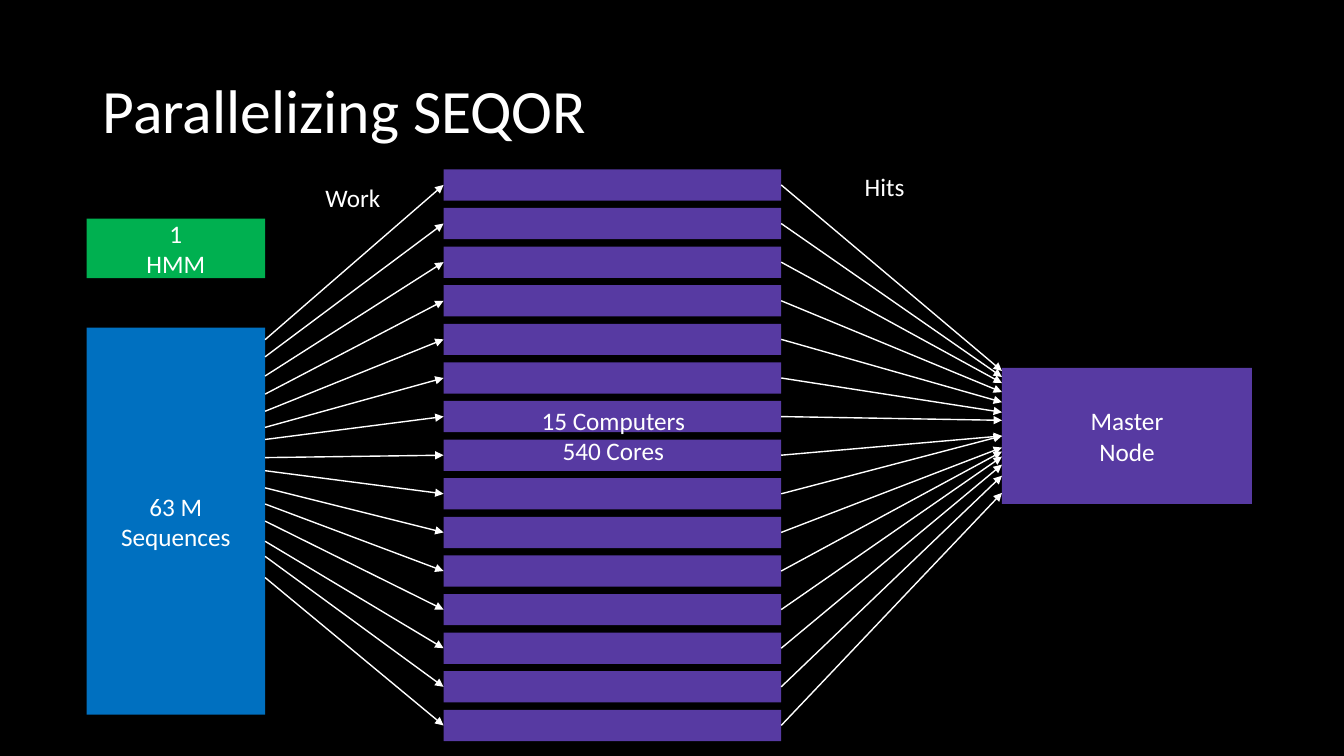
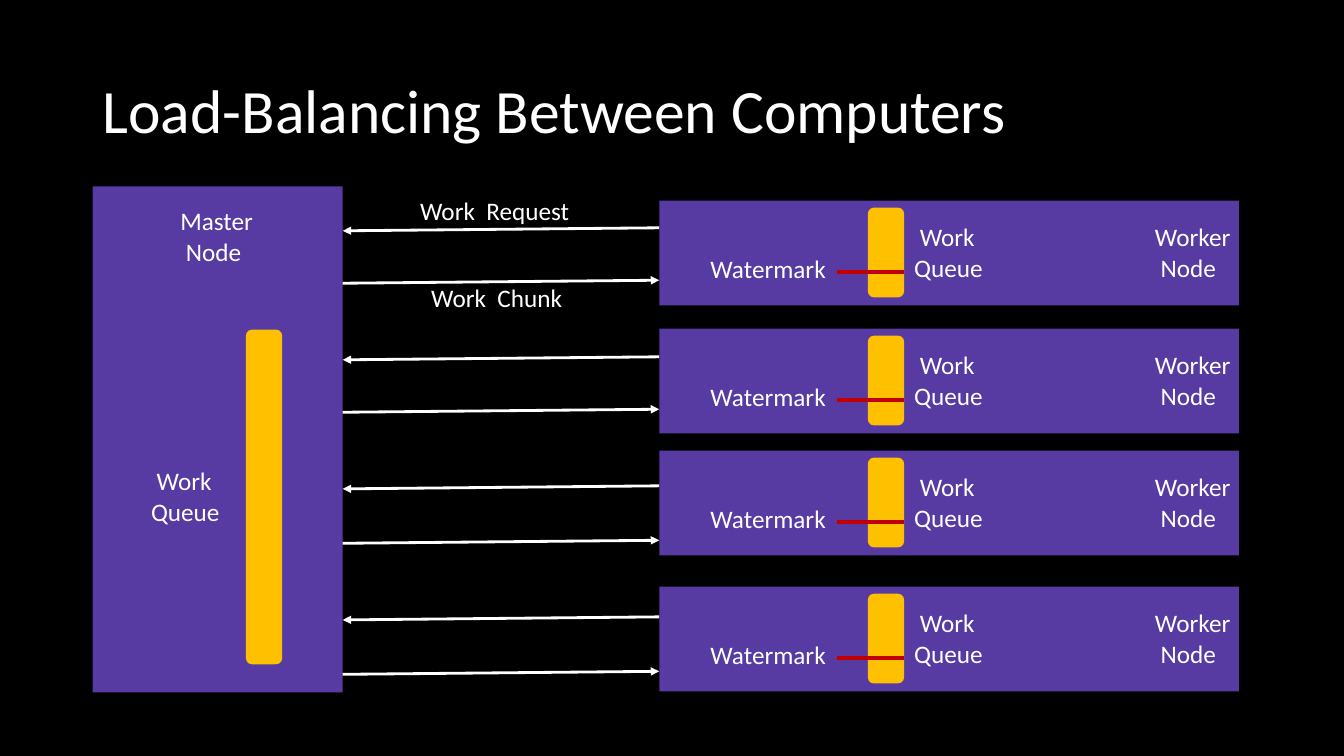
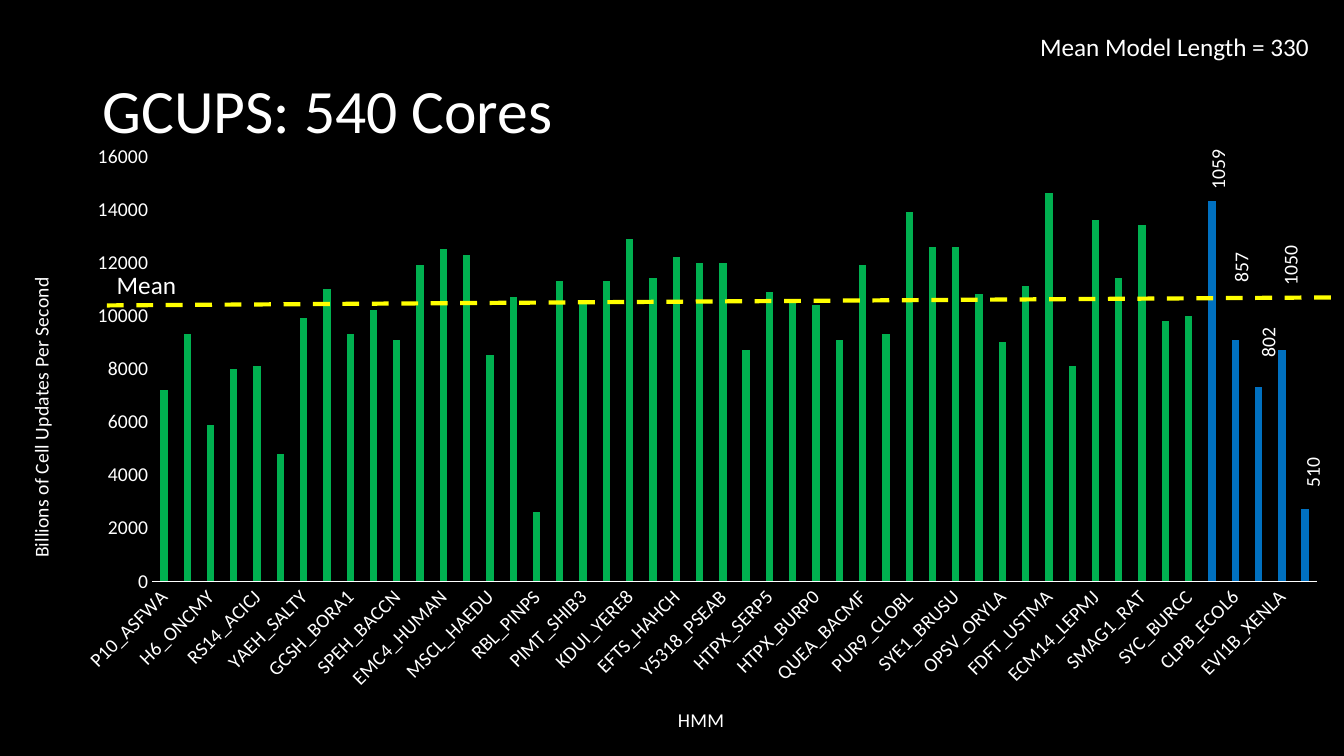
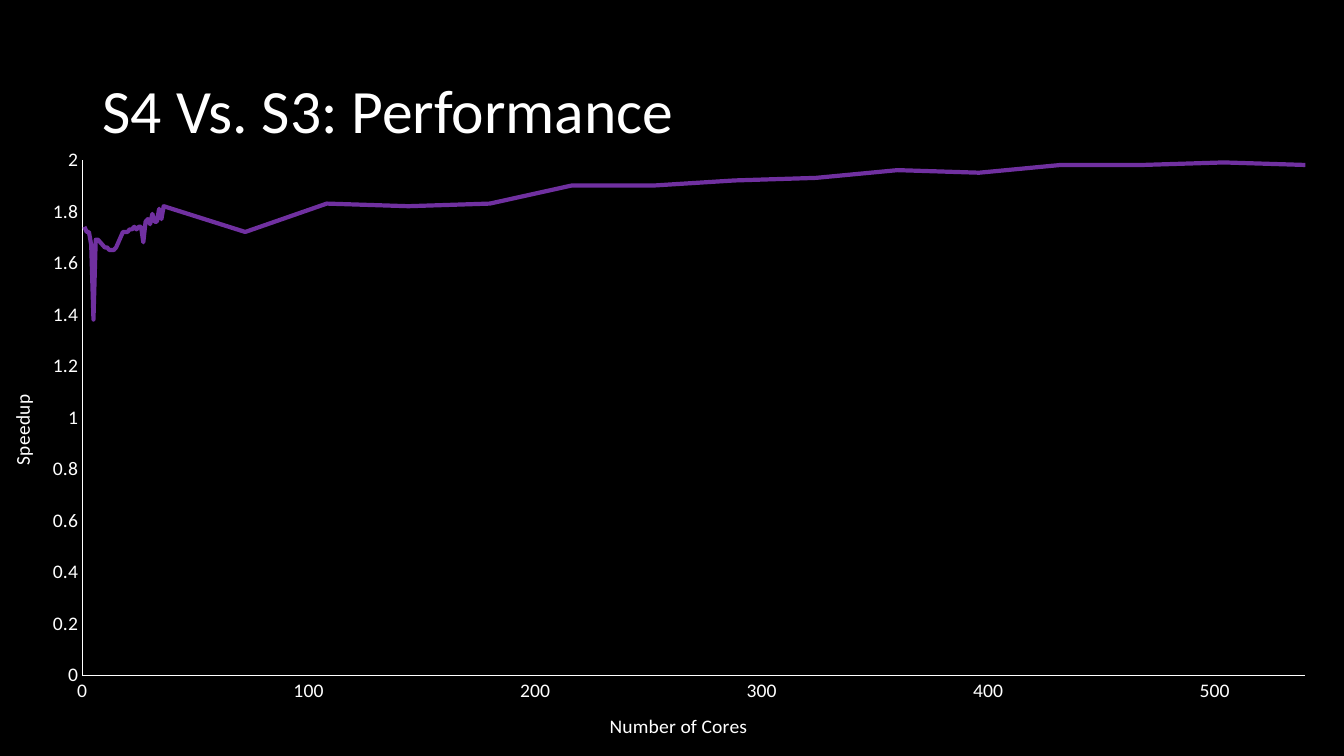
"""Build four slides on running a sequence search in parallel."""
from dataclasses import dataclass
from typing import Any, NamedTuple, Optional

from lxml import etree
from pptx import Presentation
from pptx import util as u
from pptx.chart import data as chart_data
from pptx.dml.color import RGBColor
from pptx.enum import chart as chart_enum
from pptx.enum import dml, shapes, text
from pptx.oxml import ns


@dataclass(frozen=True)
class Theme:
    """Colours, type sizes and the grid step shared by all slides."""
    back: str = "000000"
    ink: str = "FFFFFF"
    node: str = "573AA2"
    blue: str = "0070C0"
    green: str = "00B050"
    queue: str = "FFC000"
    mark: str = "C00000"
    mean: str = "FFFF00"
    curve: str = "7030A0"
    font: str = "Calibri"
    title: int = 44
    body: int = 18
    small: int = 14
    step: float = 0.1


THEME = Theme()


class Area(NamedTuple):
    """A rectangle in grid columns and rows."""
    left: float
    top: float
    width: float
    height: float

    @property
    def right(self) -> float:
        """Return the column of the right side."""
        return self.left + self.width

    @property
    def middle(self) -> float:
        """Return the row halfway down."""
        return self.top + self.height / 2

    def lengths(self) -> list[u.Length]:
        """Return the four lengths for python-pptx."""
        return [grid(value) for value in self]


class Spot(NamedTuple):
    """A point in grid columns and rows."""
    column: float
    row: float


class Port(NamedTuple):
    """A connection site of a shape."""
    shape: Any
    site: int


@dataclass(frozen=True)
class Label:
    """A piece of text that does not wrap."""
    words: str
    area: Area
    size: int = THEME.body
    turn: int = 0
    align: Optional[text.PP_ALIGN] = None


@dataclass(frozen=True)
class Worker:
    """The rows of a worker node and of its two messages."""
    top: float
    request: float
    chunk: float


@dataclass(frozen=True)
class AxisLook:
    """The title, its place in percent, the scale and the outline of a chart axis."""
    title: str
    place: tuple[float, float]
    top: Optional[float] = None
    unit: Optional[float] = None
    turn: int = 0
    lined: bool = True


TITLE_AREA = Area(9.2, 4, 115, 14.5)
LEFT, RIGHT = 1, 3

SEQUENCES = Area(8.6, 32.5, 17.7, 38.4)
MODEL = Area(8.6, 21.7, 17.7, 5.9)
FIRST_BAR = Area(44, 16.8, 33.5, 3.1)
BAR_PITCH = 3.83
MASTER = Area(99.4, 36.5, 24.8, 13.5)
WORK_ROWS = (33.7, 35.4, 37.3, 39.1, 40.8, 42.4, 43.6, 45.4,
             46.7, 48.4, 50, 51.7, 53.7, 55.2, 57.3)
HIT_ROWS = (36.8, 37.4, 38, 38.9, 39.9, 40.9, 41.7, 43.2,
            43.2, 44.4, 44.8, 45.3, 46.1, 47.2, 48.9)
FAN_LABELS = (
    Label("15 Computers\n540 Cores", Area(45, 39.7, 31.7, 7.1), align=text.PP_ALIGN.CENTER),
    Label("Work", Area(31.3, 17.6, 7.5, 4)),
    Label("Hits", Area(84.8, 16.5, 6.2, 4)),
)

DISPATCHER = Area(9.2, 18.5, 24.8, 50.2)
WORKER_LEFT = 65.4
WORKERS = (Worker(19.9, 22.6, 28.1), Worker(32.6, 35.4, 40.9),
           Worker(44.7, 48.2, 53.9), Worker(58.2, 61.2, 66.9))
TILT = 0.3
BALANCE_LABELS = (
    Label("Master\n Node", Area(16.9, 19.9, 9.3, 7.1)),
    Label(" Work\nQueue", Area(14, 45.7, 8.9, 7.1)),
    Label("Work  Chunk", Area(41.8, 27.5, 16, 4)),
    Label("Work  Request", Area(40.7, 18.9, 17.4, 4)),
)

GCUPS = {
    "P10_ASFWA": 7200, "PRGJ_SALTY": 9300, "H6_ONCMY": 5900, "RS18_METPP": 8000,
    "RS14_ACICJ": 8100, "MT2H_BOVIN": 4800, "YAEH_SALTY": 9900, "PROF1_STRPU": 11000,
    "GCSH_BORA1": 9300, "RM11_RECAM": 10200, "SPEH_BACCN": 9100, "YO13_BPHC1": 11900,
    "EMC4_HUMAN": 12500, "BP40_BPPHE": 12300, "MSCL_HAEDU": 8500, "RS5_ANAMM": 10700,
    "RBL_PINPS": 2600, "NTPA_BRASB": 11300, "PIMT_SHIB3": 10600, "RS3_AGRRK": 11300,
    "KDUI_YERE8": 12900, "LEXA_RHORT": 11400, "EFTS_HAHCH": 12200, "META_SYNP6": 12000,
    "Y5318_PSEAB": 12000, "TRG_CUPNH": 8700, "HTPX_SERP5": 10900, "KCD15_HUMAN": 10500,
    "HTPX_BURP0": 10400, "PYRK_METAC": 9100, "QUEA_BACMF": 11900, "TLX3_HUMAN": 9300,
    "PUR9_CLOBL": 13900, "RIMO_BDEBA": 12600, "SYE1_BRUSU": 12600, "CYSK_YEAST": 10800,
    "OPSV_ORYLA": 9000, "GLGC_BURP8": 11100, "FDFT_USTMA": 14600, "RMLB_MYCTO": 8100,
    "ECM14_LEPMJ": 13600, "MURD_CUPMC": 11400, "SMAG1_RAT": 13400, "MNME_PSYIN": 9800,
    "SYC_BURCC": 10000, "XYNA_THEMA": 14300, "CLPB_ECOL6": 9100, "FTSH3_ORYSJ": 7300,
    "EVI1B_XENLA": 8700, "XYLG_YERPA": 2700,
}
LONG_MODELS = 5
GCUPS_LABELS = (
    Label("1059", Area(117.8, 15.1, 6, 3.4), THEME.small, 270),
    Label("857", Area(120.6, 24.8, 5, 3.4), THEME.small, 270),
    Label("802", Area(123.3, 32.2, 5, 3.4), THEME.small, 270),
    Label("1050", Area(125, 24.6, 6, 3.4), THEME.small, 270),
    Label("510", Area(127.7, 45.1, 5, 3.4), THEME.small, 270),
    Label("Mean Model Length = 330", Area(102.2, 2.6, 29, 4)),
    Label("Mean", Area(10.6, 26.2, 8, 4)),
)

CORES = (*range(1, 37), *range(72, 541, 36))
SPEEDUPS = (
    1.74, 1.72, 1.72, 1.67, 1.38, 1.69, 1.69, 1.68, 1.67, 1.66,
    1.66, 1.65, 1.65, 1.65, 1.66, 1.68, 1.7, 1.72, 1.72, 1.72,
    1.73, 1.73, 1.74, 1.73, 1.74, 1.74, 1.68, 1.76, 1.77, 1.75,
    1.79, 1.76, 1.76, 1.81, 1.77, 1.82, 1.72, 1.83, 1.82, 1.83,
    1.9, 1.9, 1.92, 1.93, 1.96, 1.95, 1.98, 1.98, 1.99, 1.98,
)


def grid(cells: float) -> u.Length:
    """Turn grid cells into a length."""
    return u.Inches(cells * THEME.step)


def colour(code: str) -> RGBColor:
    """Turn a hex code into a colour."""
    return RGBColor.from_string(code)


def apply(target: Any, values: dict[str, Any]) -> None:
    """Set each named attribute of the target."""
    for name, value in values.items():
        setattr(target, name, value)


def style_font(font: Any, size: int) -> None:
    """Give a font the shared face and ink."""
    apply(font, {"name": THEME.font, "size": u.Pt(size), "bold": False})
    font.color.rgb = colour(THEME.ink)


def write(frame: Any, words: str, size: int, frame_format: dict[str, Any],
          para_format: dict[str, Any]) -> None:
    """Write one paragraph for each line of the words."""
    apply(frame, frame_format)
    for index, line in enumerate(words.split("\n")):
        para = frame.paragraphs[0] if index == 0 else frame.add_paragraph()
        apply(para, para_format)
        span = para.add_run()
        span.text = line
        style_font(span.font, size)


def add_page(deck: Any, title: str) -> Any:
    """Add a blank page with its title."""
    page = deck.slides.add_slide(deck.slide_layouts[6])
    box = page.shapes.add_textbox(*TITLE_AREA.lengths())
    write(box.text_frame, title, THEME.title,
          {"word_wrap": True, "vertical_anchor": text.MSO_ANCHOR.MIDDLE},
          {"line_spacing": 0.9})
    return page


def add_label(parent: Any, label: Label) -> None:
    """Draw a label on a page or in a group."""
    box = parent.shapes.add_textbox(*label.area.lengths())
    box.rotation = label.turn
    write(box.text_frame, label.words, label.size,
          {"word_wrap": False, "auto_size": text.MSO_AUTO_SIZE.SHAPE_TO_FIT_TEXT},
          {"alignment": label.align})


def add_block(parent: Any, area: Area, fill: str, words: str = "", rounded: bool = False) -> Any:
    """Draw a plain filled rectangle, with centred words if there are any."""
    kind = shapes.MSO_SHAPE.ROUNDED_RECTANGLE if rounded else shapes.MSO_SHAPE.RECTANGLE
    block = parent.shapes.add_shape(kind, *area.lengths())
    block.shadow.inherit = False
    block.fill.solid()
    block.fill.fore_color.rgb = colour(fill)
    block.line.fill.background()
    if words:
        write(block.text_frame, words, THEME.body,
              {"word_wrap": True, "vertical_anchor": text.MSO_ANCHOR.MIDDLE},
              {"alignment": text.PP_ALIGN.CENTER})
    return block


def add_line(parent: Any, start: Spot, end: Spot, ink: str, width: float, arrow: bool = False,
             begin: Optional[Port] = None, finish: Optional[Port] = None) -> Any:
    """Draw a straight line, joined to ports where given."""
    line = parent.shapes.add_connector(
        shapes.MSO_CONNECTOR.STRAIGHT, *(grid(value) for value in (*start, *end)))
    line.line.color.rgb = colour(ink)
    line.line.width = u.Pt(width)
    properties = line._element.spPr
    if arrow:
        etree.SubElement(properties.find(ns.qn("a:ln")), ns.qn("a:tailEnd"), type="triangle")
    etree.SubElement(properties, ns.qn("a:effectLst"))
    if begin:
        line.begin_connect(*begin)
    if finish:
        line.end_connect(*finish)
    return line


def port_at(shape: Any, area: Area, site: int, row: float) -> Optional[Port]:
    """Return the port if the row is the middle of the side."""
    return Port(shape, site) if abs(area.middle - row) < 0.1 else None


def add_worker(page: Any, worker: Worker) -> None:
    """Draw a worker node as a group, and its two messages."""
    group = page.shapes.add_group_shape()
    top = worker.top
    add_block(group, Area(WORKER_LEFT, top, 57.5, 10.4), THEME.node)
    add_block(group, Area(86.1, top + 0.7, 3.6, 8.9), THEME.queue, rounded=True)
    for label in (Label("Worker\n Node", Area(113.6, top + 1.6, 9.6, 7.1)),
                  Label(" Work\nQueue", Area(89.7, top + 1.6, 8.9, 7.1)),
                  Label("Watermark", Area(69.5, top + 4.7, 13.6, 4))):
        add_label(group, label)
    add_line(group, Spot(89.7, top + 7.1), Spot(83, top + 7.1), THEME.mark, 3)
    near, far = DISPATCHER.right, WORKER_LEFT
    for start, end in (
            (Spot(far, worker.request), Spot(near, worker.request + TILT)),
            (Spot(near, worker.chunk), Spot(far, worker.chunk - TILT))):
        add_line(page, start, end, THEME.ink, 2, arrow=True)


def place(parent: Any, percents: dict[str, float], inner: bool = False) -> None:
    """Fix a chart part at percentages of the chart's size."""
    layout = parent.find(ns.qn("c:layout"))
    if layout is None:
        layout = etree.Element(ns.qn("c:layout"))
        parent.insert(1 if parent.find(ns.qn("c:tx")) is not None else 0, layout)
    for child in list(layout):
        layout.remove(child)
    manual = etree.SubElement(layout, ns.qn("c:manualLayout"))
    if inner:
        etree.SubElement(manual, ns.qn("c:layoutTarget"), val="inner")
    for name in ("x", "y"):
        etree.SubElement(manual, ns.qn(f"c:{name}Mode"), val="edge")
    for name, percent in percents.items():
        etree.SubElement(manual, ns.qn(f"c:{name}"), val=str(percent / 100))


def style_axis(axis: Any, look: AxisLook) -> None:
    """Give an axis its title, scale and outline."""
    none = chart_enum.XL_TICK_MARK.NONE
    apply(axis, {"has_major_gridlines": False, "major_tick_mark": none, "minor_tick_mark": none})
    if look.top is not None:
        apply(axis, {"minimum_scale": 0, "maximum_scale": look.top, "major_unit": look.unit})
        apply(axis.tick_labels, {"number_format": "General", "number_format_is_linked": False})
    style_font(axis.tick_labels.font, THEME.small)
    if look.lined:
        axis.format.line.color.rgb = colour(THEME.ink)
        axis.format.line.width = u.Pt(0.75)
    else:
        axis.format.line.fill.background()
    frame = axis.axis_title.text_frame
    write(frame, look.title, THEME.small, {}, {})
    frame._txBody.bodyPr.set("rot", str(look.turn * 60000))
    place(axis.axis_title._element, dict(zip("xy", look.place)))


def add_chart(page: Any, kind: Any, area: Area, data: Any, plot_area: tuple[float, ...],
              looks: tuple[AxisLook, AxisLook]) -> Any:
    """Draw a chart with the shared style."""
    chart = page.shapes.add_chart(kind, *area.lengths(), data).chart
    apply(chart, {"has_legend": False, "has_title": False})
    style_font(chart.font, 10)
    for axis, look in zip((chart.category_axis, chart.value_axis), looks):
        style_axis(axis, look)
    place(chart._chartSpace.chart.plotArea, dict(zip("xywh", plot_area)), inner=True)
    chart.plots[0].vary_by_categories = False
    return chart


def build_fan(deck: Any) -> None:
    """Show work fanning out to the computers and hits coming back."""
    page = add_page(deck, "Parallelizing SEQOR")
    sequences = add_block(page, SEQUENCES, THEME.blue, "63 M Sequences")
    add_block(page, MODEL, THEME.green, "1\nHMM")
    master = add_block(page, MASTER, THEME.node, "Master\nNode")
    for index, (work, hit) in enumerate(zip(WORK_ROWS, HIT_ROWS)):
        area = FIRST_BAR._replace(top=FIRST_BAR.top + index * BAR_PITCH)
        computer = add_block(page, area, THEME.node)
        add_line(page, Spot(SEQUENCES.right, work), Spot(area.left, area.middle), THEME.ink, 1,
                 True, port_at(sequences, SEQUENCES, RIGHT, work), Port(computer, LEFT))
        add_line(page, Spot(area.right, area.middle), Spot(MASTER.left, hit), THEME.ink, 1,
                 True, Port(computer, RIGHT), port_at(master, MASTER, LEFT, hit))
    for label in FAN_LABELS:
        add_label(page, label)


def build_balance(deck: Any) -> None:
    """Show the master node serving the queues of the workers."""
    page = add_page(deck, "Load-Balancing Between Computers")
    add_block(page, DISPATCHER, THEME.node)
    add_block(page, Area(24.4, 32.7, 3.6, 33.2), THEME.queue, rounded=True)
    for worker in WORKERS:
        add_worker(page, worker)
    for label in BALANCE_LABELS:
        add_label(page, label)


def build_gcups(deck: Any) -> None:
    """Chart the cell updates per second of each model."""
    page = add_page(deck, "GCUPS: 540 Cores")
    data = chart_data.CategoryChartData()
    data.categories = list(GCUPS)
    data.add_series("Series 1", list(GCUPS.values()))
    chart = add_chart(
        page, chart_enum.XL_CHART_TYPE.COLUMN_CLUSTERED, Area(0.5, 13.1, 132.8, 61.9), data,
        (11, 3.9, 87, 68.1),
        (AxisLook("HMM", (50, 91.5)),
         AxisLook("Billions of Cell Updates Per Second", (1.4, 22.7), 16000, 2000, -90, False)))
    chart.category_axis._element.txPr.bodyPr.set("rot", "-2700000")
    apply(chart.plots[0], {"gap_width": 219, "overlap": -27})
    series = chart.plots[0].series[0]
    long_points = [series.points[index] for index in range(len(GCUPS) - LONG_MODELS, len(GCUPS))]
    for part, code in ((series, THEME.green), *((point, THEME.blue) for point in long_points)):
        part.format.fill.solid()
        part.format.fill.fore_color.rgb = colour(code)
    mean = add_line(page, Spot(10.6, 30.3), Spot(132.7, 29.5), THEME.mean, 3)
    mean.line.dash_style = dml.MSO_LINE.DASH
    for label in GCUPS_LABELS:
        add_label(page, label)


def build_speedup(deck: Any) -> None:
    """Chart the speedup against the number of cores."""
    page = add_page(deck, "S4 Vs. S3: Performance")
    data = chart_data.XyChartData()
    points = data.add_series("Series 1")
    for cores, speedup in zip(CORES, SPEEDUPS):
        points.add_data_point(cores, speedup)
    chart = add_chart(
        page, chart_enum.XL_CHART_TYPE.XY_SCATTER_LINES_NO_MARKERS,
        Area(0.5, 13.8, 131.9, 60.1), data, (5.8, 3.5, 92, 86.7),
        (AxisLook("Number of Cores", (45.2, 96), 540, 100),
         AxisLook("Speedup", (0, 42.6), 2, 0.2, -90)))
    series = chart.plots[0].series[0]
    series.smooth = False
    series.format.line.color.rgb = colour(THEME.curve)
    series.format.line.width = u.Pt(3)


def main() -> None:
    """Build and save the deck."""
    deck = Presentation()
    apply(deck, {"slide_width": grid(133.33), "slide_height": grid(75)})
    backdrop = deck.slide_master.background.fill
    backdrop.solid()
    backdrop.fore_color.rgb = colour(THEME.back)
    for build in (build_fan, build_balance, build_gcups, build_speedup):
        build(deck)
    deck.save("out.pptx")


if __name__ == "__main__":
    main()
